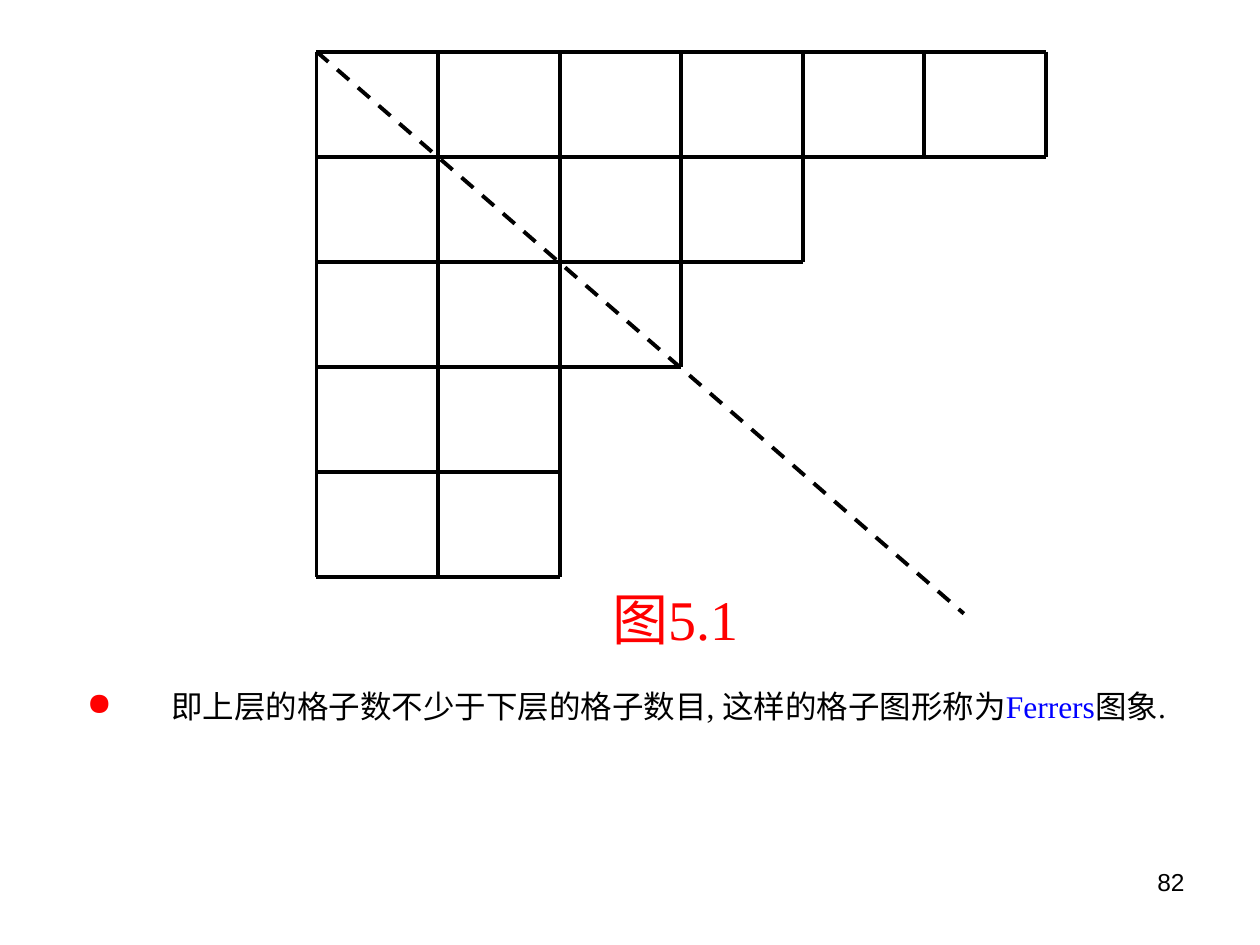
from lxml import etree
from pptx import Presentation, util as u
from pptx.dml.color import RGBColor
from pptx.enum import dml, shapes, text
from pptx.oxml import ns

ROWS = [6, 4, 3, 2, 2]
COLS = [sum(n > i for n in ROWS) for i in range(ROWS[0])]
LEFT, TOP = 6.38, 1.04
WIDE, HIGH = 2.45, 2.12


def color(code):
    return RGBColor.from_string(code)


class Deck:
    ink = "000000"
    red = "FF0000"
    blue = "0000FF"
    serif = "Times New Roman"
    sans = "Arial"

    def __init__(self):
        self.file = Presentation()
        self.file.slide_width = u.Cm(25.4)
        self.file.slide_height = u.Cm(19.05)
        self.slide = self.file.slides.add_slide(self.file.slide_layouts[6])

    def line(self, group, x1, y1, x2, y2, dash=False):
        ends = [u.Cm(v) for v in (x1, y1, x2, y2)]
        item = group.shapes.add_connector(shapes.MSO_CONNECTOR.STRAIGHT, *ends)
        item.line.color.rgb = color(self.ink)
        item.line.width = u.Pt(2.25)
        if dash:
            item.line.dash_style = dml.MSO_LINE.DASH
        etree.SubElement(item._element.spPr, ns.qn("a:effectLst"))

    def text(self, owner, box, runs, size, face, align=None, mark=None):
        item = owner.shapes.add_textbox(*[u.Cm(v) for v in box])
        item.text_frame.word_wrap = True
        para = item.text_frame.paragraphs[0]
        if mark:
            self.bullet(para, mark)
        para.alignment = align
        para.font.size = u.Pt(size)
        para.font.name = face
        for words, tint in runs:
            run = para.add_run()
            run.text = words
            run.font.color.rgb = color(tint)

    def bullet(self, para, mark):
        props = para._p.get_or_add_pPr()
        props.set("marL", str(u.Cm(1.7)))
        props.set("indent", str(-u.Cm(1.7)))
        tint = etree.SubElement(props, ns.qn("a:buClr"))
        etree.SubElement(tint, ns.qn("a:srgbClr"), val=self.red)
        etree.SubElement(props, ns.qn("a:buChar"), char=mark)

    def grid(self, group):
        for i, count in enumerate(ROWS[:1] + ROWS):
            y = TOP + i * HIGH
            self.line(group, LEFT, y, LEFT + count * WIDE, y)
        for i, count in enumerate(COLS[:1] + COLS):
            x = LEFT + i * WIDE
            self.line(group, x, TOP, x, TOP + count * HIGH)


def main():
    deck = Deck()
    deck.text(deck.slide, (18.21, 17.35, 5.92, 1.32), [("82", deck.ink)],
              14, deck.sans, text.PP_ALIGN.RIGHT)
    deck.text(deck.slide, (1.5, 13.72, 22.86, 3.6),
              [("即上层的格子数不少于下层的格子数目, 这样的格子图形称为", deck.ink),
               ("Ferrers", deck.blue), ("图象.", deck.ink)],
              18, deck.serif, mark="●")
    chart = deck.slide.shapes.add_group_shape()
    deck.grid(chart)
    deck.line(chart, LEFT, TOP, 19.43, 12.37, dash=True)
    deck.text(chart, (12.09, 11.66, 4.9, 2.13), [("图5.1", deck.red)],
              32, deck.serif, text.PP_ALIGN.JUSTIFY)
    deck.file.save("out.pptx")


if __name__ == "__main__":
    main()
